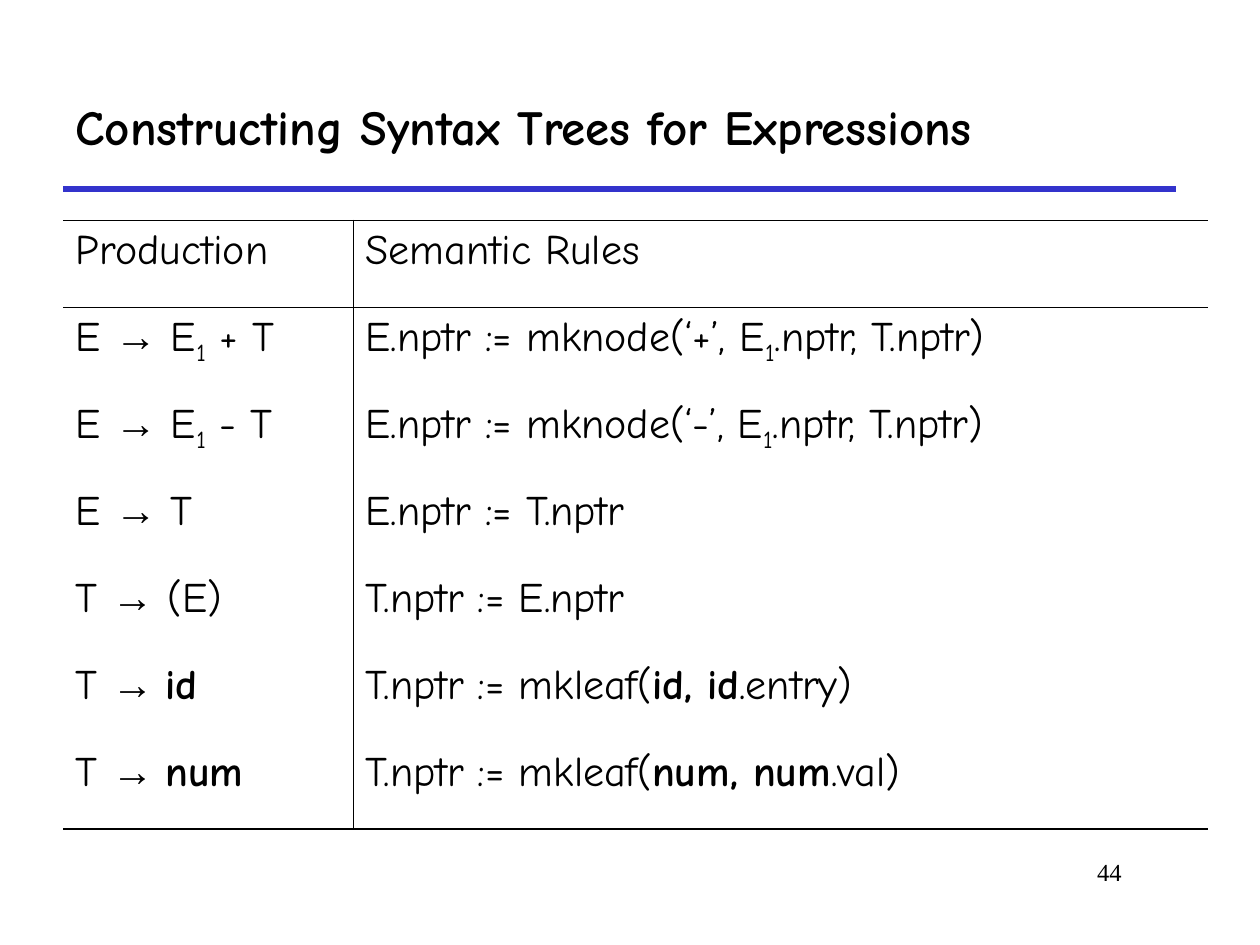
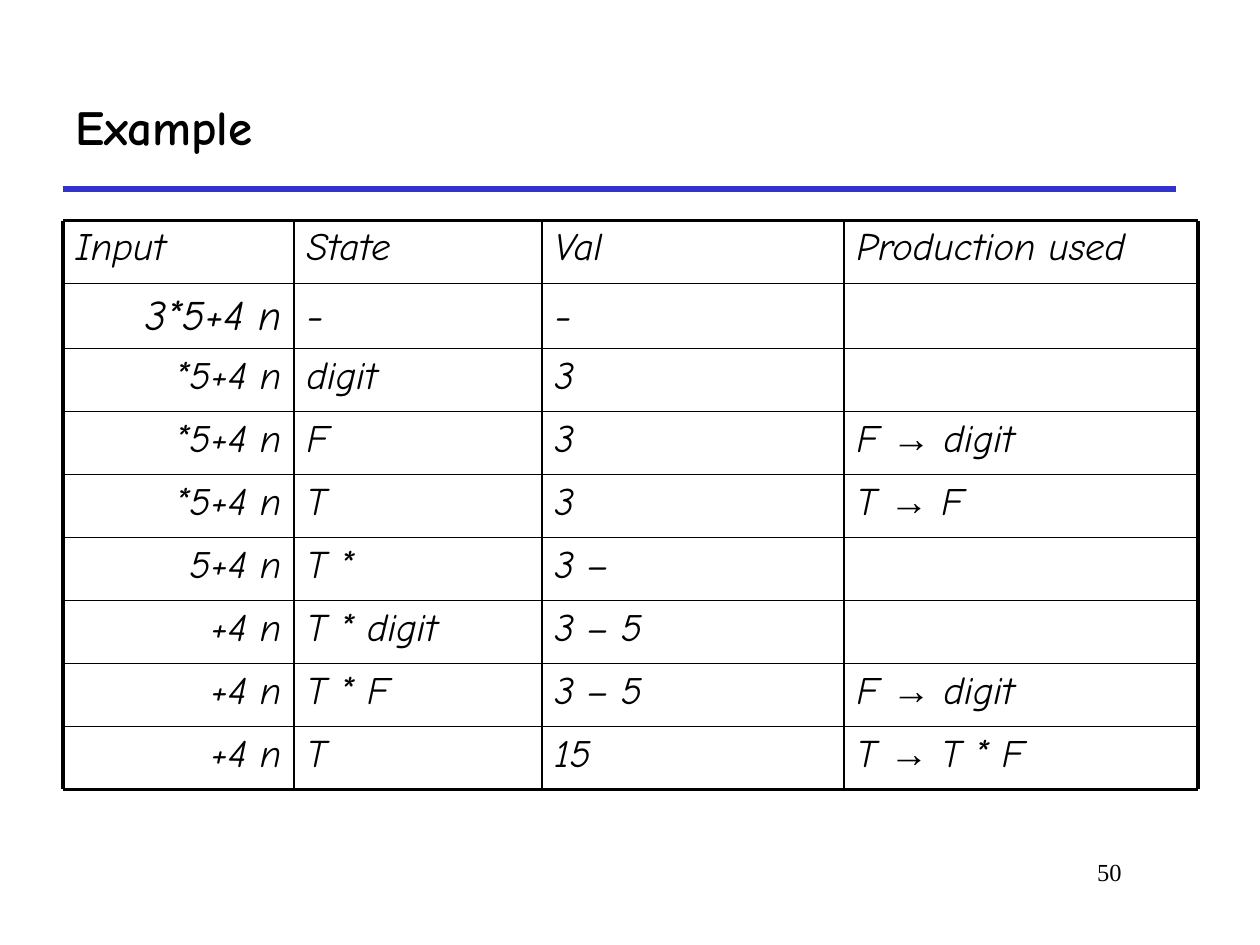
from itertools import accumulate
from lxml.etree import SubElement
from pptx import Presentation
from pptx.dml.color import RGBColor
from pptx.enum.shapes import MSO_CONNECTOR
from pptx.enum.text import MSO_ANCHOR, MSO_AUTO_SIZE, PP_ALIGN
from pptx.oxml.ns import qn
from pptx.util import Pt

BLACK = RGBColor(0, 0, 0)
BLUE = RGBColor(0x33, 0x33, 0xCC)
FONT = "Comic Neue"
SCALE = 914400 / 126
PLAIN = "{2D5ABB26-0587-4C30-8999-92F81FD0307C}"
LEFT, TOP = 63, 220.5

MARKS = {"→": {"name": "Arial"}, "^": {"bold": True}}

RULES = [
    ("Production", "Semantic Rules"),
    ("E |→| E|_1| + T", "E.nptr := mknode(‘+’, E|_1|.nptr, T.nptr)"),
    ("E |→| E|_1| - T", "E.nptr := mknode(‘-’, E|_1|.nptr, T.nptr)"),
    ("E |→| T", "E.nptr := T.nptr"),
    ("T |→| (E)", "T.nptr := E.nptr"),
    ("T |→ |^id", "T.nptr := mkleaf(|^id, id|.entry)"),
    ("T |→ |^num", "T.nptr := mkleaf(|^num, num|.val)"),
]
TRACE = [
    ("Input", "State", "Val", "Production used"),
    ("3*5+4 n", "-", "-", ""),
    ("*5+4 n", "digit", "3", ""),
    ("*5+4 n", "F", "3", "F |→| digit"),
    ("*5+4 n", "T", "3", "T |→| F"),
    ("5+4 n", "T *", "3 –", ""),
    ("+4 n", "T * digit", "3 – 5", ""),
    ("+4 n", "T * F", "3 – 5", "F |→| digit"),
    ("+4 n", "T", "15", "T |→| T * F"),
]


def px(size):
    return round(size * SCALE)


def box(*sizes):
    return [px(size) for size in sizes]


def style(font, **look):
    font.color.rgb = BLACK
    for key, value in look.items():
        setattr(font, key, value)


def write(para, text, **look):
    for part in filter(None, text.split("|")):
        run = para.add_run()
        run.text = part.lstrip("^_")
        style(run.font, **{**look, **MARKS.get(part[0], {})})
        if part[0] == "_":
            run._r.get_or_add_rPr().set("baseline", "-25000")


def draw(slide, ends, color, width):
    line = slide.shapes.add_connector(MSO_CONNECTOR.STRAIGHT, *box(*ends))
    line.line.color.rgb = color
    line.line.width = Pt(width)
    SubElement(line._element.spPr, qn("a:effectLst"))


def border(cell, edges):
    props = cell._tc.get_or_add_tcPr()
    for side, width in zip("LRTB", edges):
        line = SubElement(props, qn(f"a:ln{side}"), w=str(Pt(width)))
        if width:
            fill = SubElement(line, qn("a:solidFill"))
            SubElement(fill, qn("a:srgbClr"), val=str(BLACK))
        else:
            SubElement(line, qn("a:noFill"))
    cell.fill.background()


def add_grid(slide, rows, widths, heights, edges, format):
    size = len(rows), len(widths)
    frame = slide.shapes.add_table(*size, *box(LEFT, TOP, sum(widths), sum(heights)))
    table = frame.table
    table.first_row = table.horz_banding = False
    table._tbl.tblPr.find(qn("a:tableStyleId")).text = PLAIN
    for col, width in zip(table.columns, widths):
        col.width = px(width)
    for row, height in zip(table.rows, heights):
        row.height = px(height)
    for r, row in enumerate(rows):
        for c, text in enumerate(row):
            cell = table.cell(r, c)
            border(cell, edges(r, c, len(rows)))
            para = cell.text_frame.paragraphs[0]
            inset, align, space, look = format(r, c)
            cell.margin_top = px(inset)
            para.alignment = align
            para.line_spacing = space
            write(para, text, name=FONT, **look)


def add_lines(slide, widths, heights):
    xs = list(accumulate(widths, initial=LEFT))
    ys = list(accumulate(heights, initial=TOP))
    for y in ys:
        draw(slide, (xs[0], y, xs[-1], y), BLACK, 2.25 if y in (ys[0], ys[-1]) else 1)
    for x in xs:
        draw(slide, (x, ys[0], x, ys[-1]), BLACK, 2.25 if x in (xs[0], xs[-1]) else 1)


def rule_edges(r, c, count):
    top = 1.08 if r == 0 else 0.45 if r == 1 else 0
    base = 1.08 if r == count - 1 else 0.45 if r == 0 else 0
    return 0.45 if c else 0, 0 if c else 0.45, top, base


def rule_format(r, c):
    return 6, PP_ALIGN.LEFT, 1.0, {"size": Pt(24)}


def trace_edges(r, c, count):
    return 0, 0, 0, 0


def trace_format(r, c):
    align = PP_ALIGN.RIGHT if r and c == 0 else PP_ALIGN.LEFT
    inset, space, size = (9, 1.0, 24) if r == 1 else (8, 0.9, 22.2)
    return inset, align, space, {"size": Pt(size), "italic": True}


def add_page(deck, title, number):
    slide = deck.slides.add_slide(deck.slide_layouts[5])
    head = slide.shapes.title
    head.left, head.top, head.width, head.height = box(63, 63, 1113, 126)
    frame = head.text_frame
    frame.auto_size = MSO_AUTO_SIZE.NONE
    frame.vertical_anchor = MSO_ANCHOR.MIDDLE
    para = frame.paragraphs[0]
    para.alignment = PP_ALIGN.LEFT
    write(para, title, name=FONT, size=Pt(28), bold=True)

    draw(slide, (63, 189, 1176, 189), BLUE, 3)

    foot = slide.shapes.add_textbox(*box(872, 851, 262, 63)).text_frame
    foot.word_wrap = True
    para = foot.paragraphs[0]
    para.alignment = PP_ALIGN.RIGHT
    write(para, number, name="Times New Roman", size=Pt(14))
    return slide


def main():
    deck = Presentation()
    deck.slide_width, deck.slide_height = box(1260, 945)
    slide = add_page(deck, "Constructing Syntax Trees for Expressions", "44")
    add_grid(slide, RULES, [290, 855], [87] * 7, rule_edges, rule_format)

    slide = add_page(deck, "Example", "50")
    widths, heights = [231, 248, 302, 354], [63, 65] + [63] * 7
    add_grid(slide, TRACE, widths, heights, trace_edges, trace_format)
    add_lines(slide, widths, heights)
    deck.save("out.pptx")


if __name__ == "__main__":
    main()
